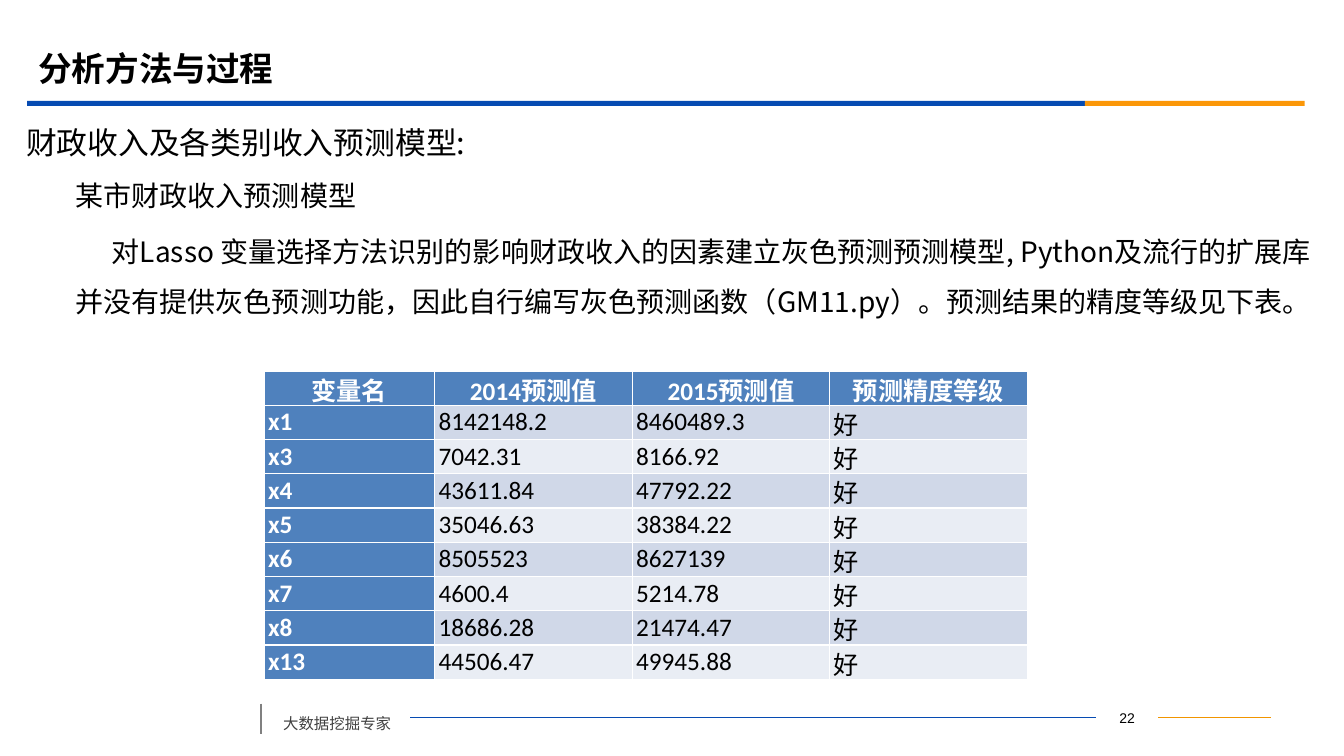
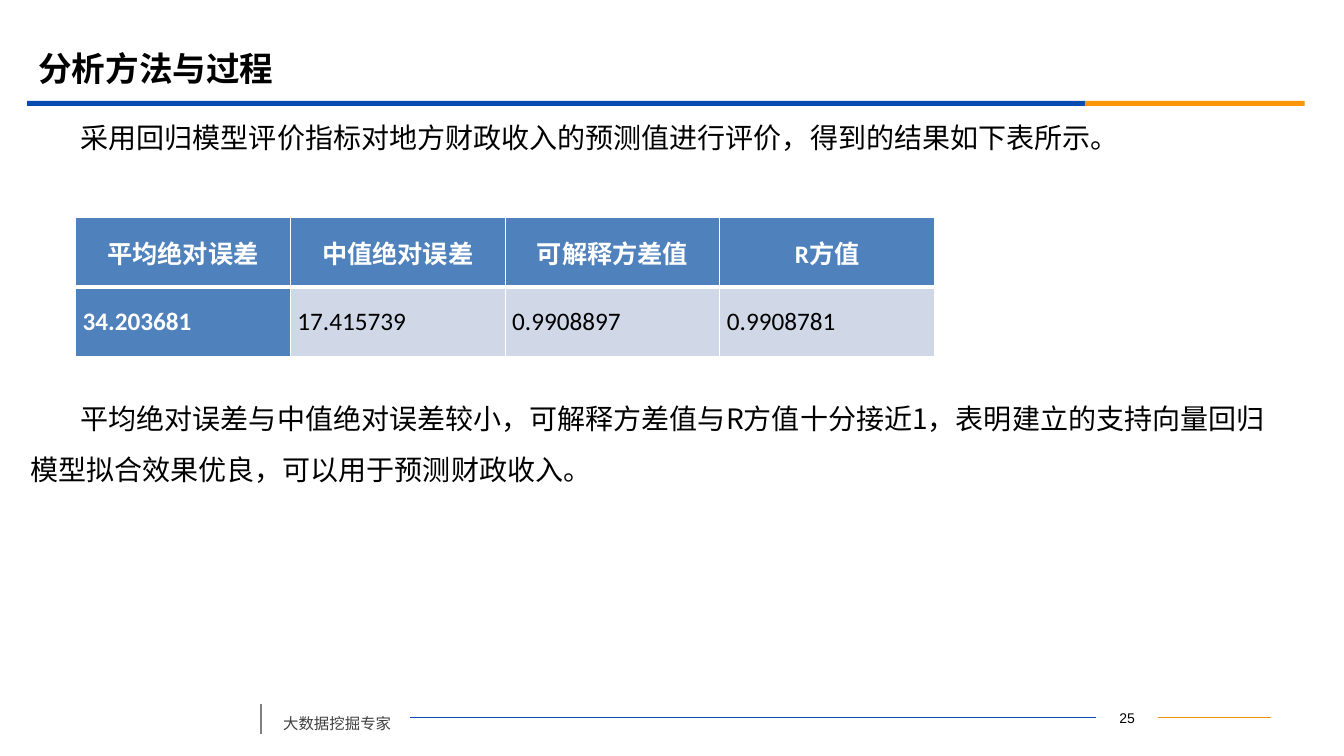
from lxml.etree import SubElement
from pptx import Presentation
from pptx.dml.color import RGBColor
from pptx.enum.shapes import MSO_CONNECTOR, MSO_SHAPE
from pptx.enum.text import MSO_ANCHOR, MSO_AUTO_SIZE, PP_ALIGN
from pptx.oxml.ns import qn
from pptx.util import Inches, Pt

BLUE = RGBColor(0x06, 0x4B, 0xB2)
ORANGE = RGBColor(0xFB, 0x97, 0x08)
AMBER = RGBColor(0xF1, 0x95, 0x00)
GRAY = RGBColor(0x80, 0x80, 0x80)
DARK_GRAY = RGBColor(0x40, 0x40, 0x40)
BLACK = RGBColor(0, 0, 0)
WHITE = RGBColor(0xFF, 0xFF, 0xFF)
HEADER_FILL = RGBColor(0x4F, 0x81, 0xBD)
BAND_FILLS = (RGBColor(0xD0, 0xD8, 0xE8), RGBColor(0xE9, 0xED, 0xF4))

CJK_FONT = "Noto Sans CJK SC"
TITLE_ONLY = 5


class ReportDeck:
    """Holds the deck style and the page being filled."""

    def __init__(self):
        self.deck = Presentation()
        self.deck.slide_width = Inches(13.33)
        self.deck.slide_height = Inches(7.5)
        self.page = None

    def add_page(self, title, number):
        self.page = self.deck.slides.add_slide(self.deck.slide_layouts[TITLE_ONLY])
        self.band(0.27, 10.49, BLUE)
        self.band(10.76, 2.18, ORANGE)
        self.title(title)
        self.footer("大数据挖掘专家", number)

    def title(self, text):
        box = self.page.shapes.title
        box.left, box.top = Inches(0.28), Inches(0.39)
        box.width, box.height = Inches(12), Inches(0.58)
        frame = box.text_frame
        frame.auto_size = MSO_AUTO_SIZE.NONE
        frame.vertical_anchor = MSO_ANCHOR.MIDDLE
        para = frame.paragraphs[0]
        para.alignment = PP_ALIGN.LEFT
        self.span(para, text, 24, font="Arial", bold=True)

    def footer(self, text, number):
        self.text(2.71, 6.94, 1.36, 0.38, [text], 11, color=DARK_GRAY,
                  space_before=6, inset=(0.1, 0.05))
        box = self.page.shapes.add_textbox(
            Inches(10.87), Inches(7), Inches(0.62), Inches(0.24))
        box.text_frame.word_wrap = True
        box.text_frame.vertical_anchor = MSO_ANCHOR.MIDDLE
        para = box.text_frame.paragraphs[0]
        para.alignment = PP_ALIGN.CENTER
        self.span(para, str(number), 10, font="Arial")
        self.line((4.07, 7.12), (10.87, 7.12), BLUE).end_connect(box, 1)
        self.line((11.49, 7.12), (12.61, 7.12), AMBER).begin_connect(box, 3)
        self.line((2.59, 6.98), (2.59, 7.28), GRAY, 1.25)

    def band(self, left, width, color):
        shape = self.page.shapes.add_shape(
            MSO_SHAPE.RECTANGLE, Inches(left), Inches(1), Inches(width), Inches(0.05))
        shape.shadow.inherit = False
        shape.fill.solid()
        shape.fill.fore_color.rgb = color
        shape.line.fill.background()

    def line(self, start, end, color, weight=0.75):
        points = [Inches(value) for value in (*start, *end)]
        connector = self.page.shapes.add_connector(MSO_CONNECTOR.STRAIGHT, *points)
        connector.line.color.rgb = color
        connector.line.width = Pt(weight)
        SubElement(connector._element.spPr, qn("a:effectLst"))
        return connector

    def span(self, para, text, size, font=CJK_FONT, color=BLACK, bold=False):
        run = para.add_run()
        run.text = text
        run.font.size = Pt(size)
        run.font.bold = bold
        run.font.name = font
        run.font.color.rgb = color
        SubElement(run.font._element, qn("a:ea")).set("typeface", CJK_FONT)

    def text(self, left, top, width, height, texts, size, color=BLACK,
             space_before=4, inset=(0, 0), indents=(0,)):
        """Add paragraphs; indents gives the first-line indent of each."""
        box = self.page.shapes.add_textbox(
            Inches(left), Inches(top), Inches(width), Inches(height))
        frame = box.text_frame
        frame.word_wrap = True
        frame.auto_size = MSO_AUTO_SIZE.SHAPE_TO_FIT_TEXT
        frame.margin_left = frame.margin_right = Inches(inset[0])
        frame.margin_top = frame.margin_bottom = Inches(inset[1])
        for index, (text, indent) in enumerate(zip(texts, indents)):
            para = frame.add_paragraph() if index else frame.paragraphs[0]
            para.line_spacing = 1.5
            para.space_before = Pt(space_before)
            para._p.get_or_add_pPr().set("indent", str(Inches(indent)))
            self.span(para, text, size, color=color)

    def table(self, left, top, widths, row_height, rows, inset, header_rule):
        """Add a table whose first row and first column are headings."""
        frame = self.page.shapes.add_table(
            len(rows), len(widths), Inches(left), Inches(top),
            Inches(sum(widths)), Inches(row_height * len(rows)))
        table = frame.table
        table.first_col = True
        for column, width in zip(table.columns, widths):
            column.width = Inches(width)
        for row_index, values in enumerate(rows):
            table.rows[row_index].height = Inches(row_height)
            rules = {"L": 1, "R": 1,
                     "T": header_rule if row_index == 1 else 1,
                     "B": header_rule if row_index == 0 else 1}
            for column_index, value in enumerate(values):
                cell = table.cell(row_index, column_index)
                heading = row_index == 0 or column_index == 0
                cell.margin_left = cell.margin_right = Inches(inset)
                cell.margin_top = cell.margin_bottom = 0
                cell.vertical_anchor = MSO_ANCHOR.MIDDLE
                self.cell_borders(cell, rules)
                cell.fill.solid()
                cell.fill.fore_color.rgb = (
                    HEADER_FILL if heading else BAND_FILLS[(row_index - 1) % 2])
                para = cell.text_frame.paragraphs[0]
                para.alignment = PP_ALIGN.JUSTIFY if row_index else PP_ALIGN.CENTER
                self.span(para, value, 18, font="Calibri",
                          color=WHITE if heading else BLACK, bold=heading)

    @staticmethod
    def cell_borders(cell, rules):
        properties = cell._tc.get_or_add_tcPr()
        for side, weight in rules.items():
            border = SubElement(properties, qn(f"a:ln{side}"), w=str(Pt(weight)))
            fill = SubElement(border, qn("a:solidFill"))
            SubElement(fill, qn("a:srgbClr"), val=str(WHITE))


def add_forecast_page(report):
    report.add_page("分析方法与过程", 22)
    report.text(0.26, 1.04, 12.29, 0.55, ["财政收入及各类别收入预测模型:"], 22)
    report.text(0.75, 1.6, 12.29, 2.09, [
        "某市财政收入预测模型",
        "对Lasso 变量选择方法识别的影响财政收入的因素建立灰色预测预测模型, "
        "Python及流行的扩展库并没有提供灰色预测功能，因此自行编写灰色预测函数"
        "（GM11.py）。预测结果的精度等级见下表。",
    ], 20, indents=(0, 0.36))
    forecasts = [
        ("x1", "8142148.2", "8460489.3"),
        ("x3", "7042.31", "8166.92"),
        ("x4", "43611.84", "47792.22"),
        ("x5", "35046.63", "38384.22"),
        ("x6", "8505523", "8627139"),
        ("x7", "4600.4", "5214.78"),
        ("x8", "18686.28", "21474.47"),
        ("x13", "44506.47", "49945.88"),
    ]
    rows = [("变量名", "2014预测值", "2015预测值", "预测精度等级")]
    rows += [(*forecast, "好") for forecast in forecasts]
    report.table(2.62, 3.68, [1.69] + [1.96] * 3, 0.34, rows,
                 inset=0.04, header_rule=1)


def add_evaluation_page(report):
    report.add_page("分析方法与过程", 25)
    paragraphs = [
        (1.03, 0.56, "采用回归模型评价指标对地方财政收入的预测值进行评价，得到的结果如下表所示。"),
        (3.82, 1.06, "平均绝对误差与中值绝对误差较小，可解释方差值与R方值十分接近1，"
                     "表明建立的支持向量回归模型拟合效果优良，可以用于预测财政收入。"),
    ]
    for top, height, text in paragraphs:
        report.text(0.3, top, 12.29, height, [text], 20, indents=(0.5,))
    report.table(0.75, 2.16, [2.13] * 4, 0.69, [
        ("平均绝对误差", "中值绝对误差", "可解释方差值", "R方值"),
        ("34.203681", "17.415739", "0.9908897", "0.9908781"),
    ], inset=0.07, header_rule=3)


def main():
    report = ReportDeck()
    add_forecast_page(report)
    add_evaluation_page(report)
    report.deck.save("out.pptx")


if __name__ == "__main__":
    main()
